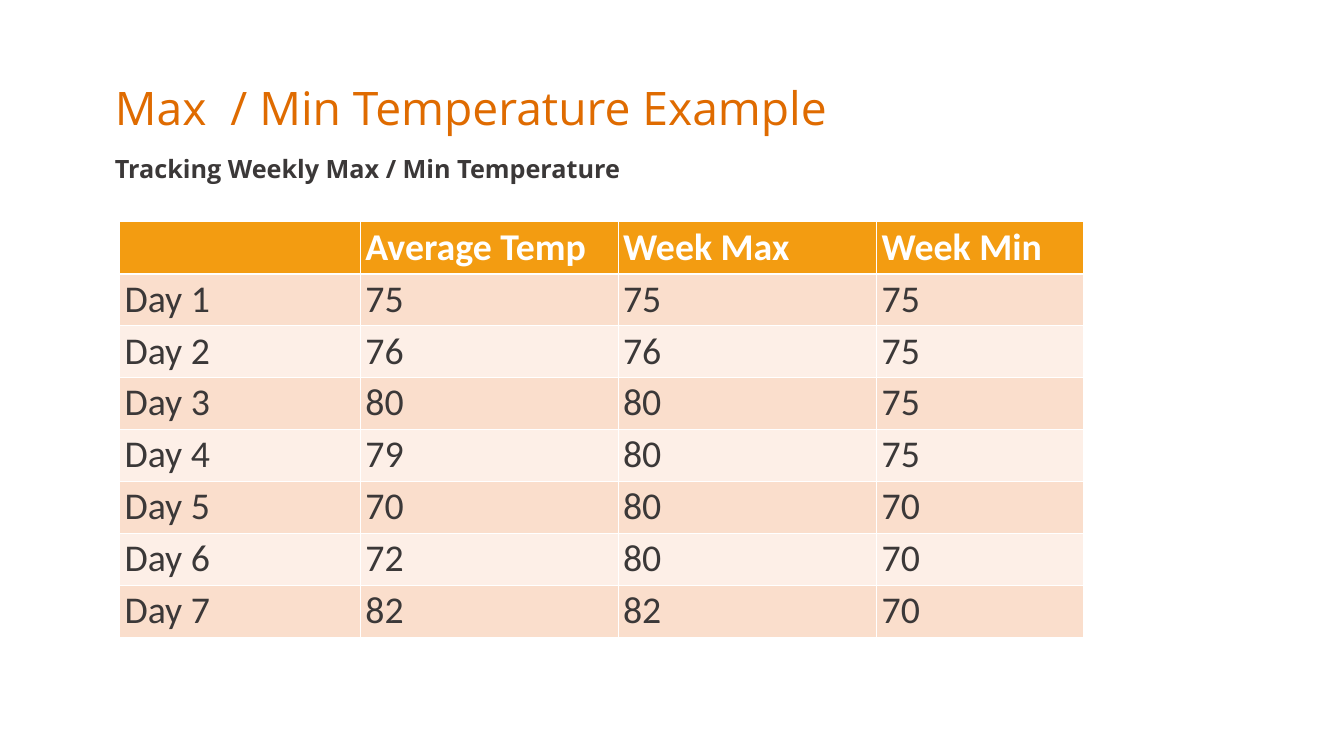
from lxml import etree
from pptx import Presentation
from pptx.dml.color import RGBColor
from pptx.enum.text import MSO_ANCHOR, PP_ALIGN
from pptx.oxml.ns import qn
from pptx.util import Inches, Pt

MIDDLE = MSO_ANCHOR.MIDDLE
TOP = MSO_ANCHOR.TOP
LEFT = PP_ALIGN.LEFT

ORANGE, DARK, WHITE = "DF6B00", "3B3838", "FFFFFF"
HEADER_FILL = "F39C11"
BAND_FILLS = ["FDEFE7", "FADECC"]


def style_text(paragraph, name, size, color, bold=False):
    paragraph.alignment = LEFT
    for run in paragraph.runs:
        run.font.name = name
        run.font.size = Pt(size)
        run.font.bold = bold
        run.font.color.rgb = RGBColor.from_string(color)


def set_borders(cell, bottom_width):
    properties = cell._tc.get_or_add_tcPr()
    widths = {"a:lnL": 1, "a:lnR": 1, "a:lnT": 1, "a:lnB": bottom_width}
    for position, (tag, width) in enumerate(widths.items()):
        line = etree.Element(qn(tag), w=str(Pt(width)))
        fill = etree.SubElement(line, qn("a:solidFill"))
        etree.SubElement(fill, qn("a:srgbClr"), val=WHITE)
        properties.insert(position, line)


presentation = Presentation()
presentation.slide_width = Inches(26.66)
presentation.slide_height = Inches(15)
slide = presentation.slides.add_slide(presentation.slide_layouts[5])

# Title
title = slide.shapes.title
title.left, title.top = Inches(2.18), Inches(1.55)
title.width, title.height = Inches(22.44), Inches(1.3)
title.text_frame.text = "Max  / Min Temperature Example"
title.text_frame.vertical_anchor = MIDDLE
paragraph = title.text_frame.paragraphs[0]
paragraph.line_spacing = 0.9
style_text(paragraph, "Open Sans", 66, ORANGE)

# Subtitle
subtitle = slide.shapes.add_textbox(Inches(2.18), Inches(2.75), Inches(22.44), Inches(0.97))
subtitle.text_frame.word_wrap = True
subtitle.text_frame.vertical_anchor = TOP
subtitle.text_frame.text = "Tracking Weekly Max / Min Temperature"
paragraph = subtitle.text_frame.paragraphs[0]
paragraph.line_spacing = 1.4
style_text(paragraph, "Open Sans", 36, DARK, bold=True)

# Table rows: each day shows the highest and lowest average so far
temperatures = [75, 76, 80, 79, 70, 72, 82]
rows = [["", "Average Temp", "Week Max", "Week Min"]]
for day, temperature in enumerate(temperatures, start=1):
    so_far = temperatures[:day]
    rows.append([f"Day {day}", str(temperature), str(max(so_far)), str(min(so_far))])

# Temperature table
column_widths = [4.78, 5.11, 5.13, 4.09]
row_height = 1.03
table = slide.shapes.add_table(
    len(rows), len(column_widths), Inches(2.37), Inches(4.4),
    Inches(sum(column_widths)), Inches(row_height * len(rows))).table
for column, width in zip(table.columns, column_widths):
    column.width = Inches(width)

for row_index, values in enumerate(rows):
    table.rows[row_index].height = Inches(row_height)
    is_header = row_index == 0
    fill_color = HEADER_FILL if is_header else BAND_FILLS[row_index % 2]
    for column_index, value in enumerate(values):
        cell = table.cell(row_index, column_index)
        cell.fill.solid()
        cell.fill.fore_color.rgb = RGBColor.from_string(fill_color)
        set_borders(cell, bottom_width=3 if is_header else 1)
        cell.text_frame.text = value
        style_text(cell.text_frame.paragraphs[0], "Calibri", 54,
                   WHITE if is_header else DARK, bold=is_header)

presentation.save("out.pptx")
